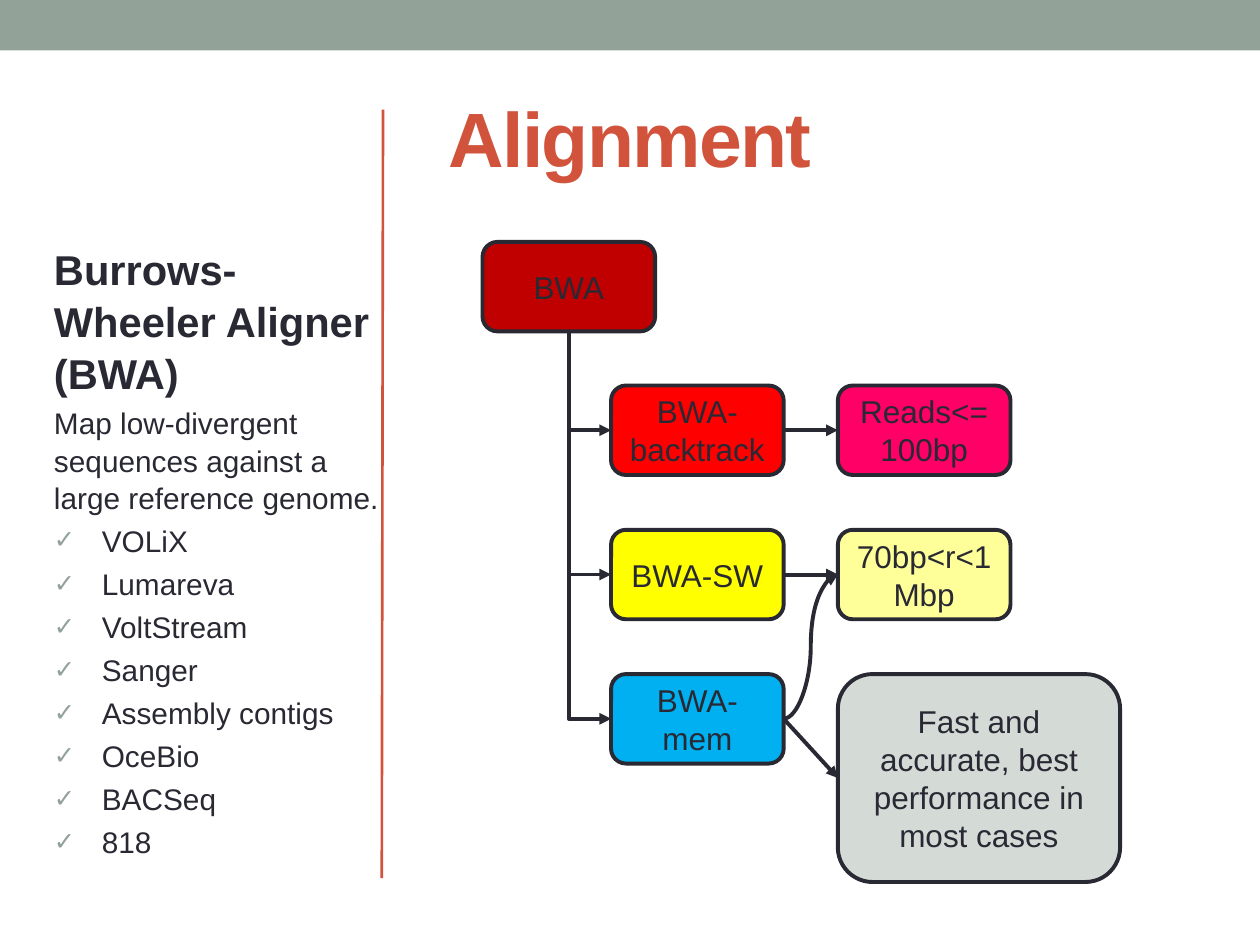
from lxml import etree
from pptx import Presentation
from pptx.dml.color import RGBColor
from pptx.enum.shapes import MSO_CONNECTOR as Link, MSO_SHAPE as Preset
from pptx.enum.text import MSO_ANCHOR as Anchor, PP_ALIGN as Align
from pptx.oxml.ns import qn
from pptx.util import Inches, Pt

COLORS = {
    "band": "93A299", "accent": "D2533C", "dark": "292934",
    "crimson": "C00000", "red": "FF0000", "yellow": "FFFF00", "blue": "00B0F0",
    "pink": "FF0066", "cream": "FFFF99", "gray": "D4DAD6",
}
FONT = "Arial"

# Content
TITLE = "Alignment"
HEADING = "Burrows-Wheeler Aligner (BWA)"
SUMMARY = "Map low-divergent sequences against a large reference genome."
PLATFORMS = ["VOLiX", "Lumareva", "VoltStream", "Sanger",
             "Assembly contigs", "OceBio", "BACSeq", "818"]
ROOT = ("BWA", "crimson")
# Each row: algorithm and its colour, use case and its colour
ROWS = [
    (("BWA-backtrack", "red"), ("Reads<=100bp", "pink")),
    (("BWA-SW", "yellow"), ("70bp<r<1Mbp", "cream")),
    (("BWA-mem", "blue"),
     ("Fast and accurate, best performance in most cases", "gray")),
]

# Diagram grid
BOX = (1.37, 0.71)
LARGE_BOX = (2.24, 1.65)
ROOT_LEFT, ROOT_TOP = 3.83, 1.92
ALGORITHM_LEFT, USE_LEFT = 4.85, 6.65
FIRST_ROW, ROW_STEP = 3.06, 1.145


def color(name):
    return RGBColor.from_string(COLORS[name])


def write(paragraph, text, size=18, fill="dark", bold=False, align=Align.LEFT,
          before=0, spacing=None):
    paragraph.alignment = align
    paragraph.space_before = Pt(before)
    if spacing:
        paragraph.line_spacing = spacing
    run = paragraph.add_run()
    run.text = text
    run.font.name = FONT
    run.font.size = Pt(size)
    run.font.bold = bold
    run.font.color.rgb = color(fill)
    return run


def add_check(paragraph):
    properties = paragraph._p.get_or_add_pPr()
    properties.set("marL", str(Inches(0.38)))
    properties.set("indent", str(-Inches(0.38)))
    bullet_color = etree.SubElement(properties, qn("a:buClr"))
    etree.SubElement(bullet_color, qn("a:srgbClr"), val=COLORS["band"])
    etree.SubElement(properties, qn("a:buSzPct"), val="85000")
    etree.SubElement(properties, qn("a:buFont"), typeface=FONT)
    etree.SubElement(properties, qn("a:buChar"), char="✓")


def add_box(slide, label, left, top, size=BOX):
    text, fill = label
    shape = slide.shapes.add_shape(
        Preset.ROUNDED_RECTANGLE, *map(Inches, (left, top, *size)))
    shape.shadow.inherit = False
    shape.fill.solid()
    shape.fill.fore_color.rgb = color(fill)
    shape.line.color.rgb = color("dark")
    shape.line.width = Pt(2.25)
    frame = shape.text_frame
    frame.word_wrap = True
    frame.vertical_anchor = Anchor.MIDDLE
    write(frame.paragraphs[0], text, align=Align.CENTER)


def add_link(slide, start, end, kind=Link.STRAIGHT, fill="dark", width=2.25, arrow=True):
    connector = slide.shapes.add_connector(kind, *map(Inches, (*start, *end)))
    connector.line.color.rgb = color(fill)
    connector.line.width = Pt(width)
    if arrow:
        etree.SubElement(connector.line._get_or_add_ln(), qn("a:tailEnd"), type="triangle")
    etree.SubElement(connector._element.spPr, qn("a:effectLst"))
    return connector


def add_branch(slide, start, end):
    """One-corner connector: straight down, then right."""
    (x1, y1), (x2, y2) = start, end
    center_x, center_y = (x1 + x2) / 2, (y1 + y2) / 2
    half_length, half_height = (y2 - y1) / 2, (x2 - x1) / 2
    # Drawn right to left, then turned a quarter counterclockwise
    connector = add_link(
        slide, (center_x + half_length, center_y - half_height),
        (center_x - half_length, center_y + half_height), Link.ELBOW)
    properties = connector._element.spPr
    properties.find(qn("a:xfrm")).set("rot", str(270 * 60000))
    properties.find(qn("a:prstGeom")).set("prst", "bentConnector2")


def add_frame(slide):
    band = slide.shapes.add_shape(Preset.RECTANGLE, 0, 0, Inches(10), Inches(0.4))
    band.shadow.inherit = False
    band.fill.solid()
    band.fill.fore_color.rgb = color("band")
    band.line.fill.background()
    add_link(slide, (3.04, 0.87), (3.03, 6.97), fill="accent", width=1.5, arrow=False)

    title = slide.shapes.title
    title.left, title.top, title.width, title.height = map(Inches, (0.69, 0.5, 8.62, 1))
    title.text_frame.vertical_anchor = Anchor.BOTTOM
    run = write(title.text_frame.paragraphs[0], TITLE, size=44, fill="accent",
                bold=True, align=Align.CENTER)
    run.font._element.set("spc", "-100")


def add_description(slide):
    frame = slide.shapes.add_textbox(*map(Inches, (0.33, 1.87, 2.91, 4.35))).text_frame
    frame.word_wrap = True
    write(frame.paragraphs[0], HEADING, size=23.8, bold=True, spacing=1.04)
    body = {"size": 17, "before": 3.4, "spacing": 1.04}
    write(frame.add_paragraph(), SUMMARY, **body)
    for platform in PLATFORMS:
        paragraph = frame.add_paragraph()
        # Spacing elements must precede the bullet elements
        write(paragraph, platform, **body)
        add_check(paragraph)


def add_diagram(slide):
    width, height = BOX
    add_box(slide, ROOT, ROOT_LEFT, ROOT_TOP)
    trunk = (ROOT_LEFT + width / 2, ROOT_TOP + height)
    exits, entries = [], []
    for index, (algorithm, use) in enumerate(ROWS):
        top = FIRST_ROW + index * ROW_STEP
        middle = top + height / 2
        use_size = LARGE_BOX if index == len(ROWS) - 1 else BOX
        add_box(slide, algorithm, ALGORITHM_LEFT, top)
        add_box(slide, use, USE_LEFT, top, use_size)
        add_branch(slide, trunk, (ALGORITHM_LEFT, middle))
        exits.append((ALGORITHM_LEFT + width, middle))
        entries.append((USE_LEFT, top + use_size[1] / 2))
    for start, end in zip(exits, entries):
        add_link(slide, start, end)
    # BWA-mem also covers the BWA-SW read lengths
    add_link(slide, exits[2], entries[1], Link.CURVE)


def main():
    presentation = Presentation()
    presentation.slide_width, presentation.slide_height = Inches(10), Inches(7.5)
    slide = presentation.slides.add_slide(presentation.slide_layouts[5])
    add_frame(slide)
    add_description(slide)
    add_diagram(slide)
    presentation.save("out.pptx")


if __name__ == "__main__":
    main()
